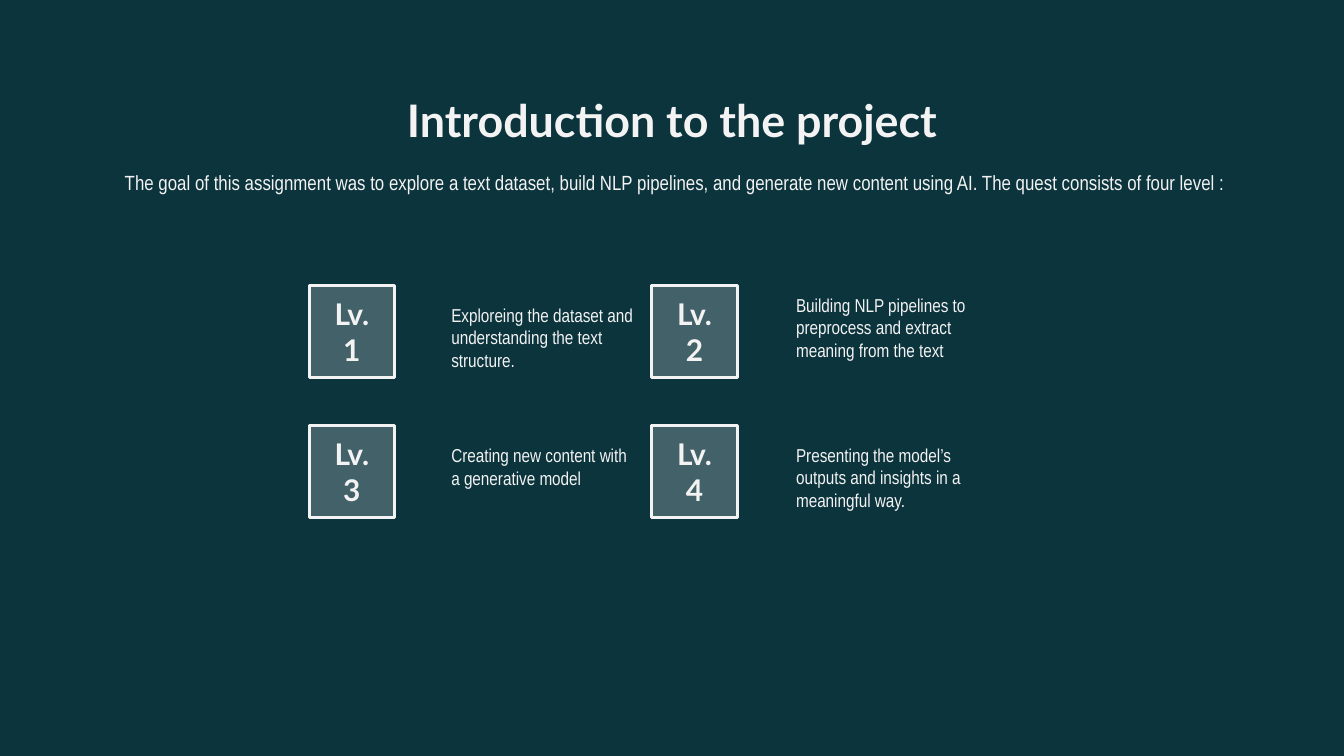
from pptx import Presentation
from pptx import util as u
from pptx.dml.color import RGBColor
from pptx.enum import shapes, text
from pptx.oxml.ns import qn
from lxml import etree

PX = 4572
TEAL = RGBColor(0x0C, 0x34, 0x3D)
PALE = RGBColor(0xF3, 0xF3, 0xF3)


def px(*nums):
    return [u.Emu(n * PX) for n in nums]


def write(shape, words, font, size, bold=False, align=text.PP_ALIGN.LEFT,
          anchor=text.MSO_ANCHOR.TOP, side=20, inset=20):
    frame = shape.text_frame
    frame.text = words
    frame.word_wrap = True
    frame.auto_size = text.MSO_AUTO_SIZE.NONE
    frame.vertical_anchor = anchor
    frame.margin_left = frame.margin_right = u.Emu(side * PX)
    frame.margin_top = frame.margin_bottom = u.Emu(inset * PX)
    para = frame.paragraphs[0]
    para.alignment = align
    run = para.runs[0].font
    run.name, run.size, run.bold = font, u.Pt(size), bold
    run.color.rgb = PALE


deck = Presentation()
deck.slide_width, deck.slide_height = px(2000, 1125)
slide = deck.slides.add_slide(deck.slide_layouts[5])
slide.background.fill.solid()
slide.background.fill.fore_color.rgb = TEAL

title = slide.shapes.title
title.left, title.top, title.width, title.height = px(157, 118, 1686, 126)
write(title, "Introduction to the project", "Lato", 24, True, text.PP_ALIGN.CENTER)

levels = [
    ("Exploreing the dataset and understanding the text structure.", 652, 432, 122),
    ("Building NLP pipelines to preprocess and extract meaning from the text", 1165, 417, 154),
    ("Creating new content with a generative model", 652, 641, 122),
    ("Presenting the model’s outputs and insights in a meaningful way.", 1165, 640, 122),
]
for i, (words, left, top, high) in enumerate(levels):
    row, col = divmod(i, 2)
    note = slide.shapes.add_textbox(*px(left, top, 312, high))
    write(note, words, "Arial Narrow", 10)

    badge = slide.shapes.add_shape(shapes.MSO_SHAPE.ROUNDED_RECTANGLE,
                                   *px(460 + 510 * col, 425 + 208 * row, 127, 137))
    badge.adjustments[0] = 0
    badge.shadow.inherit = False
    badge.fill.solid()
    badge.fill.fore_color.rgb = PALE
    tint = badge.fill._xPr.find(qn("a:solidFill"))[0]
    etree.SubElement(tint, qn("a:alpha")).set("val", "24000")
    badge.line.color.rgb = PALE
    badge.line.width = u.Pt(1.5)
    write(badge, f"Lv. {i + 1}", "Lato", 16, True, text.PP_ALIGN.CENTER,
          text.MSO_ANCHOR.MIDDLE, side=22)

intro = slide.shapes.add_textbox(*px(166, 243, 1694, 94))
write(intro, "The goal of this assignment was to explore a text dataset, build NLP "
      "pipelines, and generate new content using AI. The quest consists of four level :",
      "Arial Narrow", 11, inset=10)

deck.save("out.pptx")
